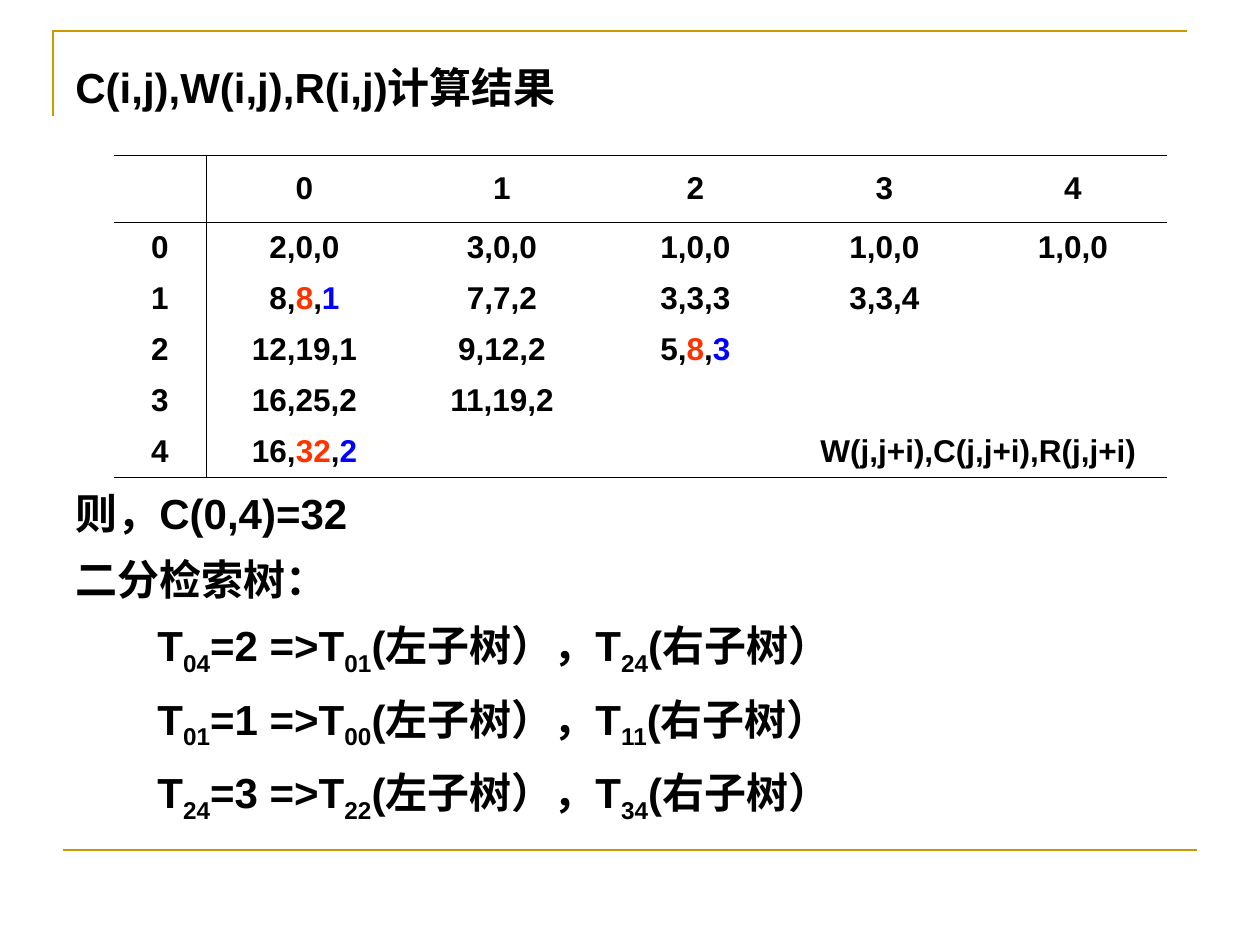
import pptx
import pptx.util
import pptx.dml.color
import pptx.enum.shapes
import pptx.enum.text
import pptx.oxml
import pptx.oxml.ns

INK, RED, BLUE, GOLD = "000000", "FF3300", "0000FF", "CC9900"
TINTS = (INK, RED, INK, BLUE)

TITLE = "C(i,j),W(i,j),R(i,j)计算结果"
RESULT = "则，C(0,4)=32"
TREE = "二分检索树："
SPLITS = [("04", "2", "01", "24"), ("01", "1", "00", "11"), ("24", "3", "22", "34")]

GRID = [
    ["", "0", "1", "2", "3", "4"],
    ["0", "2,0,0", "3,0,0", "1,0,0", "1,0,0", "1,0,0"],
    ["1", ("8,", "8", ",", "1"), "7,7,2", "3,3,3", "3,3,4", ""],
    ["2", "12,19,1", "9,12,2", ("5,", "8", ",", "3"), "", ""],
    ["3", "16,25,2", "11,19,2", "", "", ""],
    ["4", ("16,", "32", ",", "2"), "", "", "W(j,j+i),C(j,j+i),R(j,j+i)", ""],
]
COLS = [92, 197, 198, 189, 189, 188]
ROWS = [67] + [51] * 5
LAST = len(ROWS) - 1


def px(n):
    return pptx.util.Emu(round(n * 914400 / 126))


def rgb(tint):
    return pptx.dml.color.RGBColor.from_string(tint)


def add_run(para, text, size, tint=INK, sub=False):
    run = para.add_run()
    run.text = text
    font = run.font
    font.name, font.size, font.bold = "Arial", pptx.util.Pt(size), True
    font.color.rgb = rgb(tint)
    if sub:
        run._r.get_or_add_rPr().set("baseline", "-25000")


def set_edge(cell, side, shown):
    fill = f'<a:solidFill><a:srgbClr val="{INK}"/></a:solidFill>' if shown else "<a:noFill/>"
    space = pptx.oxml.ns.nsdecls("a")
    line = pptx.oxml.parse_xml(f'<a:ln{side} {space} w="5715">{fill}</a:ln{side}>')
    cell._tc.get_or_add_tcPr().append(line)


def set_line(shape):
    shape.line.color.rgb = rgb(GOLD)
    shape.line.width = pptx.util.Pt(1.5)


def add_frame(slide):
    pen = slide.shapes.build_freeform(53, 116, scale=px(1))
    pen.add_line_segments([(53, 31), (1187, 31)], close=False)
    angle = pen.convert_to_shape()
    angle.shadow.inherit = False
    angle.fill.background()
    set_line(angle)
    rule = slide.shapes.add_connector(
        pptx.enum.shapes.MSO_CONNECTOR.STRAIGHT, px(63), px(850), px(1197), px(850))
    rule._element.spPr.append(
        pptx.oxml.parse_xml(f'<a:effectLst {pptx.oxml.ns.nsdecls("a")}/>'))
    set_line(rule)


def add_body(slide):
    box = slide.shapes.add_textbox(px(63), px(55), px(1163), px(789))
    frame = box.text_frame
    frame.word_wrap = True
    lines = [([TITLE], 0, 1, 0), ([RESULT], 214.6, 1, 0), ([TREE], 6, 1.1, 0)]
    for root, key, left, right in SPLITS:
        parts = ["T", root, f"={key} =>T", left, "(左子树），T", right, "(右子树）"]
        lines.append((parts, 6, 1.1, 82))
    for n, (parts, gap, lead, inset) in enumerate(lines):
        para = frame.add_paragraph() if n else frame.paragraphs[0]
        para.space_before = pptx.util.Pt(gap)
        para.line_spacing = lead
        para._p.get_or_add_pPr().set("marL", str(px(inset)))
        for k, part in enumerate(parts):
            add_run(para, part, 24, sub=k % 2 == 1)


def add_grid(slide):
    table = slide.shapes.add_table(
        len(ROWS), len(COLS), px(114), px(155), px(sum(COLS)), px(sum(ROWS))).table
    table.first_row = table.horz_banding = False
    for col, width in zip(table.columns, COLS):
        col.width = px(width)
    for row, height in zip(table.rows, ROWS):
        row.height = px(height)
    for r, items in enumerate(GRID):
        for c, item in enumerate(items):
            cell = table.cell(r, c)
            edges = {"L": c == 1, "R": c == 0, "T": r < 2, "B": r in (0, LAST)}
            for side, shown in edges.items():
                set_edge(cell, side, shown)
            cell.fill.background()
            cell.vertical_anchor = pptx.enum.text.MSO_ANCHOR.MIDDLE
            para = cell.text_frame.paragraphs[0]
            para.alignment = pptx.enum.text.PP_ALIGN.CENTER
            parts = (item,) if isinstance(item, str) else item
            for part, tint in zip(parts, TINTS):
                if part:
                    add_run(para, part, 18, tint)
    table.cell(LAST, 4).merge(table.cell(LAST, 5))


def main():
    deck = pptx.Presentation()
    deck.slide_width, deck.slide_height = px(1260), px(945)
    slide = deck.slides.add_slide(deck.slide_layouts[6])
    add_frame(slide)
    add_body(slide)
    add_grid(slide)
    deck.save("out.pptx")


if __name__ == "__main__":
    main()
